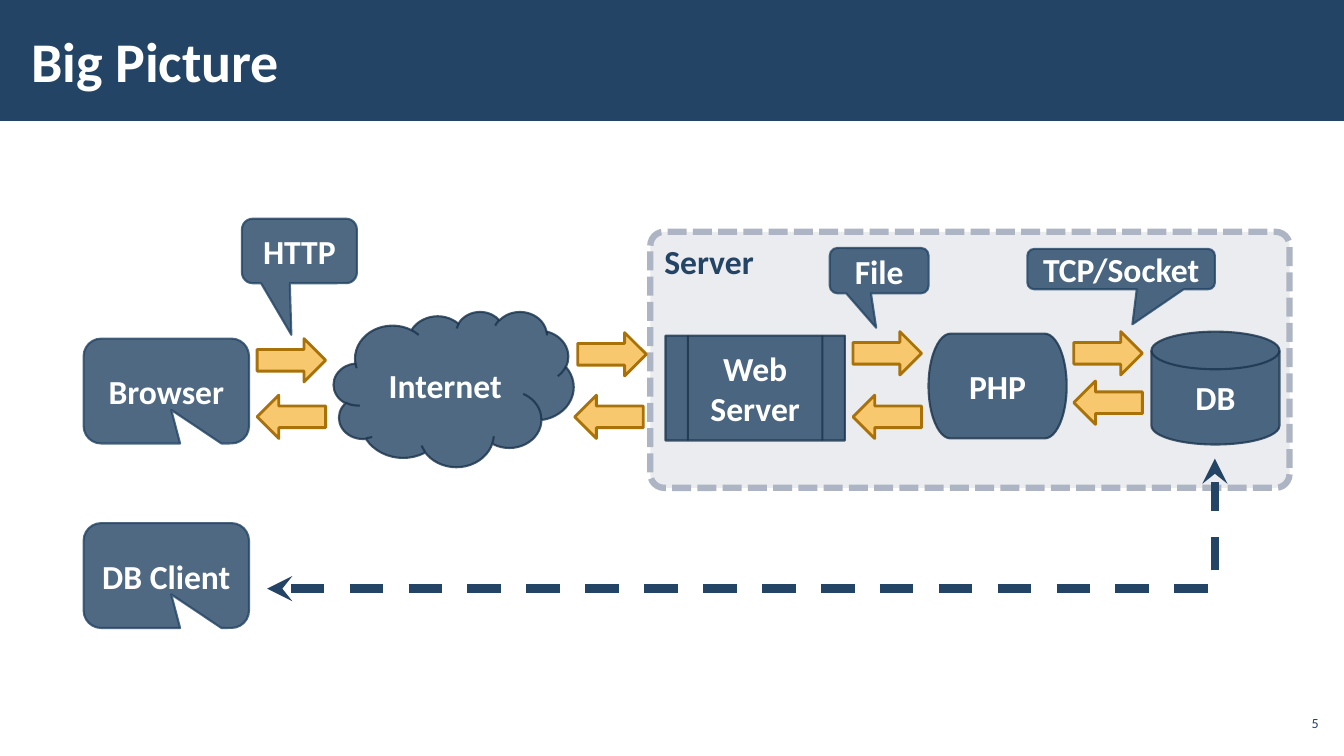
from pptx import Presentation
from pptx.dml.color import RGBColor
from pptx.enum import dml, shapes, text
from pptx.oxml import ns, xmlchemy
from pptx.util import Inches, Pt

NAVY = RGBColor(0x23, 0x44, 0x65)
DARK_NAVY = RGBColor(0x1A, 0x33, 0x4C)
GREY = RGBColor(0xAD, 0xB4, 0xC3)
YELLOW = RGBColor(0xF7, 0xC8, 0x6D)
BROWN = RGBColor(0xA9, 0x72, 0x09)
WHITE = RGBColor(0xFF, 0xFF, 0xFF)

KIND = shapes.MSO_SHAPE
ALIGN = text.PP_ALIGN
ANCHOR = text.MSO_ANCHOR

# Callouts: label, left, top, width, height, tip offset x and y
CALLOUTS = [
    ("HTTP", 2.4, 2.17, 1.14, 0.64, -0.07, 1.3),
    ("File", 8.23, 2.46, 0.98, 0.45, -0.03, 1.26),
    ("TCP/Socket", 10.19, 2.47, 1.86, 0.4, 0.06, 1.37),
    ("Browser", 0.83, 3.36, 1.64, 1.04, 0.03, 0.18),
    ("DB Client", 0.83, 5.19, 1.64, 1.04, 0.03, 0.18),
]

# Nodes: label, shape, left, top, width, height
NODES = [
    ("Internet", KIND.CLOUD, 3.31, 3.09, 2.38, 1.54),
    ("Web\nServer", KIND.FLOWCHART_PREDEFINED_PROCESS, 6.6, 3.33, 1.78, 1.04),
    ("PHP", KIND.FLOWCHART_TERMINATOR, 9.21, 3.31, 1.37, 1.04),
    ("DB", KIND.FLOWCHART_MAGNETIC_DISK, 11.42, 3.29, 1.27, 1.12),
]

# Request and response arrows: left and top of each
ARROW_PAIRS = [
    ((2.55, 3.36), (2.55, 3.92)),
    ((5.73, 3.3), (5.7, 3.92)),
    ((8.46, 3.29), (8.46, 3.92)),
    ((10.65, 3.29), (10.65, 3.78)),
]


def write_text(shape, words, size=24, color=WHITE, bold=True,
               align=ALIGN.CENTER, anchor=ANCHOR.MIDDLE, inset=None):
    frame = shape.text_frame
    frame.word_wrap = True
    frame.vertical_anchor = anchor
    if inset is not None:
        frame.margin_left = frame.margin_right = Inches(inset)
        frame.margin_top = frame.margin_bottom = Inches(inset)
    paragraph = frame.paragraphs[0]
    paragraph.text = words
    paragraph.alignment = align
    for run in paragraph.runs:
        run.font.name = "Calibri"
        run.font.size = Pt(size)
        run.font.bold = bold
        run.font.color.rgb = color


def add_text(slide, box, words, **text_format):
    shape = slide.shapes.add_textbox(*map(Inches, box))
    write_text(shape, words, **text_format)


def set_opacity(properties, percent):
    """Make the solid fill held directly by an element see-through."""
    color = properties.find(ns.qn("a:solidFill")).find(ns.qn("a:srgbClr"))
    alpha = xmlchemy.OxmlElement("a:alpha")
    alpha.set("val", str(percent * 1000))
    color.append(alpha)


def add_block(slide, kind, box, fill, line=None, width=1.5,
              fill_opacity=100, line_opacity=100):
    shape = slide.shapes.add_shape(kind, *map(Inches, box))
    shape.shadow.inherit = False
    shape.fill.solid()
    shape.fill.fore_color.rgb = fill
    if fill_opacity < 100:
        set_opacity(shape._element.spPr, fill_opacity)
    if line is None:
        shape.line.fill.background()
        return shape
    shape.line.color.rgb = line
    shape.line.width = Pt(width)
    if line_opacity < 100:
        set_opacity(shape.line._get_or_add_ln(), line_opacity)
    return shape


def add_node(slide, label, kind, box, line=DARK_NAVY):
    shape = add_block(slide, kind, box, NAVY, line,
                      fill_opacity=80, line_opacity=80)
    write_text(shape, label)
    return shape


def add_callout(slide, label, box, tip):
    shape = add_node(slide, label, KIND.ROUNDED_RECTANGULAR_CALLOUT, box, NAVY)
    shape.adjustments[0], shape.adjustments[1] = tip


def add_arrow(slide, position, rotation=0):
    arrow = add_block(slide, KIND.RIGHT_ARROW, (*position, 0.68, 0.43),
                      YELLOW, BROWN, width=2)
    arrow.rotation = rotation


def add_server_area(slide):
    area = add_block(slide, KIND.ROUNDED_RECTANGLE, (6.45, 2.3, 6.34, 2.54),
                     GREY, GREY, width=4.5, fill_opacity=25)
    area.adjustments[0] = 0.054
    area.line.dash_style = dml.MSO_LINE.SQUARE_DOT
    # SQUARE_DOT is the sysDot preset; the border uses the longer sysDash
    area.line._get_or_add_ln().find(ns.qn("a:prstDash")).set("val", "sysDash")
    write_text(area, "Server", color=NAVY, align=ALIGN.LEFT, anchor=ANCHOR.TOP)


def add_client_link(slide):
    """Dashed two-way link with a single bend, from DB Client to DB."""
    link = slide.shapes.add_connector(
        shapes.MSO_CONNECTOR.ELBOW,
        Inches(2.65), Inches(5.84), Inches(12.05), Inches(4.55))
    properties = link._element.spPr
    properties.find(ns.qn("a:prstGeom")).set("prst", "bentConnector2")
    link.line.color.rgb = NAVY
    link.line.width = Pt(6)
    link.line.dash_style = dml.MSO_LINE.DASH
    for end in ("a:headEnd", "a:tailEnd"):
        arrowhead = xmlchemy.OxmlElement(end)
        arrowhead.set("type", "stealth")
        link.line._get_or_add_ln().append(arrowhead)
    properties.append(xmlchemy.OxmlElement("a:effectLst"))


def main():
    presentation = Presentation()
    presentation.slide_width = Inches(13.33)
    presentation.slide_height = Inches(7.5)
    slide = presentation.slides.add_slide(presentation.slide_layouts[6])

    # Title band and page number
    add_block(slide, KIND.RECTANGLE, (0, 0, 13.33, 1.2), NAVY)
    add_text(slide, (0.21, 0.11, 10.39, 0.97), "Big Picture",
             size=40, align=ALIGN.LEFT, inset=0.1)
    add_text(slide, (12.65, 7, 0.47, 0.34), "5", size=10, color=NAVY,
             bold=False, align=ALIGN.RIGHT, inset=0.04)

    # Server area and the client's link to the database
    add_server_area(slide)
    add_client_link(slide)

    # Clients, protocols and processing nodes
    for label, *box, tip_x, tip_y in CALLOUTS:
        add_callout(slide, label, box, (tip_x, tip_y))
    for label, kind, *box in NODES:
        add_node(slide, label, kind, box)

    # Requests go right, responses come back
    for request, response in ARROW_PAIRS:
        add_arrow(slide, request)
        add_arrow(slide, response, rotation=180)

    presentation.save("out.pptx")


if __name__ == "__main__":
    main()
